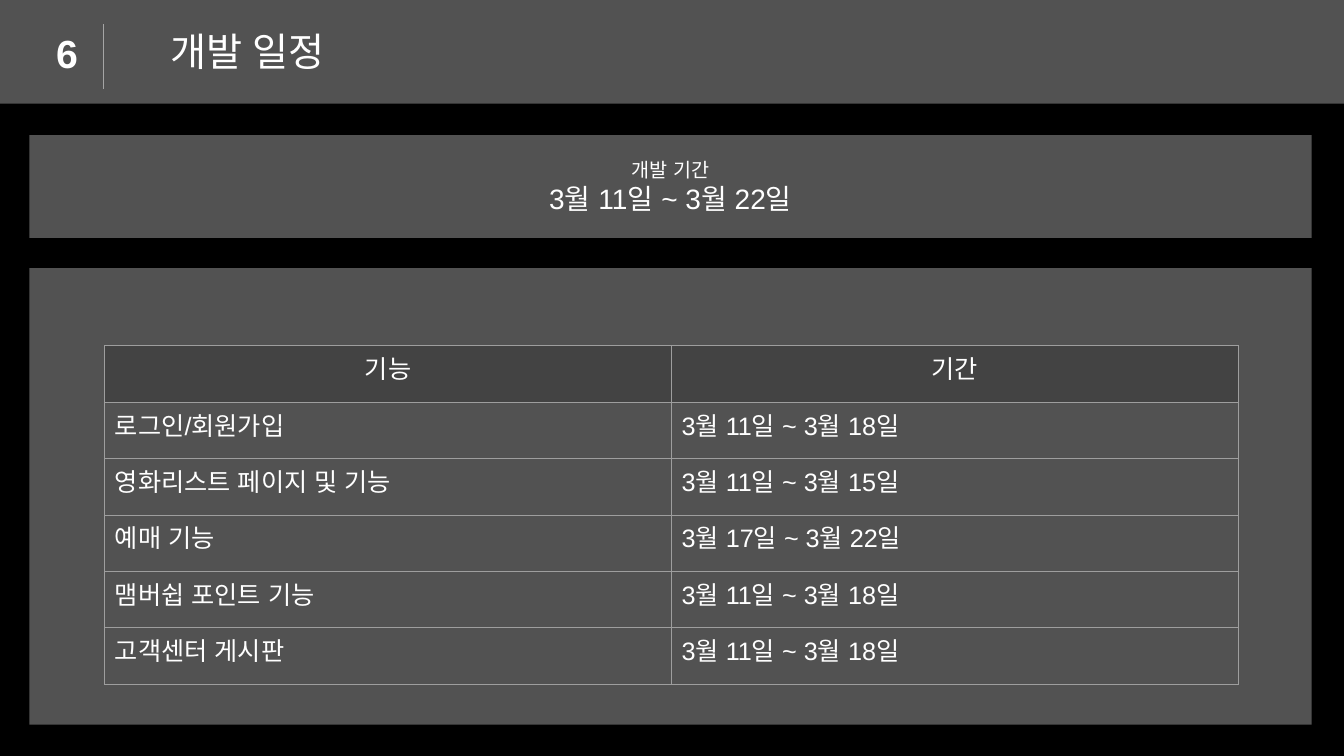
from dataclasses import dataclass

from pptx import Presentation
from pptx.dml.color import RGBColor
from pptx.enum.shapes import MSO_CONNECTOR as Connector, MSO_SHAPE as Shape
from pptx.enum.text import MSO_ANCHOR as Anchor, PP_ALIGN as Align
from pptx.oxml.ns import qn
from pptx.oxml.xmlchemy import OxmlElement
from pptx.util import Inches, Pt


@dataclass(frozen=True)
class Theme:
    font: str = "Arial"
    background: str = "000000"
    panel: str = "A5A5A5"
    panel_alpha: int = 50
    text: str = "FFFFFF"
    header_fill: str = "434343"
    border: str = "9E9E9E"
    line_width: float = 0.75
    title_size: int = 28
    period_size: int = 20
    table_size: int = 18
    label_size: int = 14


THEME = Theme()
SCHEDULE = [
    ("기능", "기간"),
    ("로그인/회원가입", "3월 11일 ~ 3월 18일"),
    ("영화리스트 페이지 및 기능", "3월 11일 ~ 3월 15일"),
    ("예매 기능", "3월 17일 ~ 3월 22일"),
    ("맴버쉽 포인트 기능", "3월 11일 ~ 3월 18일"),
    ("고객센터 게시판", "3월 11일 ~ 3월 18일"),
]


def color(value):
    return RGBColor.from_string(value)


def add_element(parent, tag, **attributes):
    element = OxmlElement(tag)
    for name, value in attributes.items():
        element.set(name, str(value))
    parent.append(element)
    return element


def format_paragraph(paragraph, size, align=Align.LEFT, bold=False):
    paragraph.alignment = align
    for run in paragraph.runs:
        run.font.size = Pt(size)
        run.font.bold = bold
        run.font.name = THEME.font
        run.font.color.rgb = color(THEME.text)
        add_element(run.font._element, "a:ea", typeface=THEME.font)


def add_panel(slide, left, top, width, height):
    panel = slide.shapes.add_shape(
        Shape.RECTANGLE, Inches(left), Inches(top), Inches(width), Inches(height))
    panel.shadow.inherit = False
    panel.fill.solid()
    panel.fill.fore_color.rgb = color(THEME.panel)
    fill_color = panel._element.spPr.find(qn("a:solidFill"))[0]
    add_element(fill_color, "a:alpha", val=THEME.panel_alpha * 1000)
    panel.line.fill.background()
    return panel


def add_label(slide, left, top, width, height, text, align, bold=False):
    box = slide.shapes.add_textbox(
        Inches(left), Inches(top), Inches(width), Inches(height))
    box.text_frame.word_wrap = True
    box.text_frame.text = text
    format_paragraph(box.text_frame.paragraphs[0], THEME.title_size, align, bold)


def add_header(slide, left, top, width, height, number, title):
    add_panel(slide, left, top, width, height)
    divider = slide.shapes.add_connector(
        Connector.STRAIGHT, Inches(left + 1.03), Inches(top + 0.24),
        Inches(left + 1.03), Inches(top + 0.88))
    divider.line.color.rgb = color(THEME.panel)
    divider.line.width = Pt(THEME.line_width)
    add_element(divider._element.spPr, "a:effectLst")
    add_label(slide, left + 0.46, top + 0.24, 0.44, 0.57, number, Align.LEFT, True)
    add_label(slide, left + 0.77, top + 0.22, 2.55, 0.57, title, Align.RIGHT)


def add_period(slide, left, top, width, height, label, period):
    frame = add_panel(slide, left, top, width, height).text_frame
    frame.word_wrap = True
    frame.vertical_anchor = Anchor.MIDDLE
    frame.text = f"{label}\n{period}"
    for paragraph, size in zip(frame.paragraphs, (THEME.label_size, THEME.period_size)):
        format_paragraph(paragraph, size, Align.CENTER)


def format_cell(cell, text, is_header):
    cell.margin_left = cell.margin_right = Inches(0.1)
    cell.margin_top = cell.margin_bottom = Inches(0.1)
    cell.text_frame.text = text
    align = Align.CENTER if is_header else Align.LEFT
    format_paragraph(cell.text_frame.paragraphs[0], THEME.table_size, align)
    properties = cell._tc.get_or_add_tcPr()
    for side in ("L", "R", "T", "B"):
        border = add_element(properties, f"a:ln{side}", w=Pt(THEME.line_width))
        fill = add_element(border, "a:solidFill")
        add_element(fill, "a:srgbClr", val=THEME.border)
    if is_header:
        cell.fill.solid()
        cell.fill.fore_color.rgb = color(THEME.header_fill)
    else:
        cell.fill.background()


def add_schedule(slide, left, top, width, height, rows):
    add_panel(slide, left, top, width, height)
    row_height, column_width = 0.56, 5.62
    columns = len(rows[0])
    table = slide.shapes.add_table(
        len(rows), columns, Inches(left + 0.75), Inches(top + 0.77),
        Inches(column_width * columns), Inches(row_height * len(rows))).table
    table.first_row = table.horz_banding = False
    for row_index, row in enumerate(rows):
        for column_index, text in enumerate(row):
            format_cell(table.cell(row_index, column_index), text, row_index == 0)


def main():
    presentation = Presentation()
    presentation.slide_width = Inches(13.33)
    presentation.slide_height = Inches(7.5)
    slide = presentation.slides.add_slide(presentation.slide_layouts[6])
    slide.background.fill.solid()
    slide.background.fill.fore_color.rgb = color(THEME.background)
    add_header(slide, 0, 0, 13.33, 1.03, "6", "개발 일정")
    add_period(slide, 0.29, 1.34, 12.72, 1.02, "개발 기간", "3월 11일 ~ 3월 22일")
    add_schedule(slide, 0.29, 2.66, 12.72, 4.53, SCHEDULE)
    presentation.save("out.pptx")


if __name__ == "__main__":
    main()
